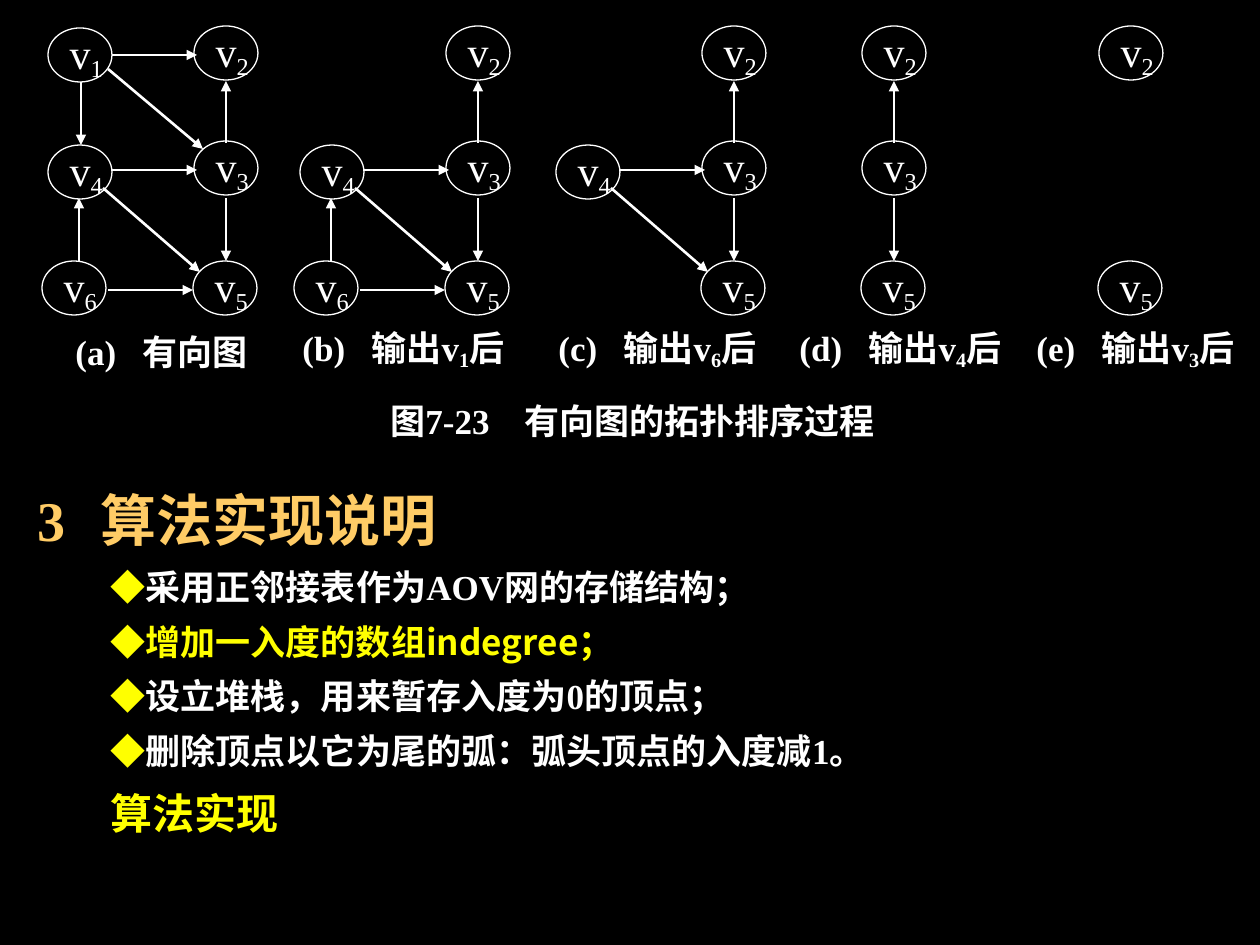
"""Builds the slide on topological sorting of a directed graph."""
from lxml import etree
from pptx import Presentation
from pptx.dml.color import RGBColor
from pptx.enum.shapes import MSO_CONNECTOR, MSO_SHAPE
from pptx.enum.text import MSO_ANCHOR, MSO_AUTO_SIZE, PP_ALIGN
from pptx.oxml.ns import qn
from pptx.util import Inches, Pt

PX_PER_INCH = 126
BLACK = RGBColor(0x00, 0x00, 0x00)
WHITE = RGBColor(0xFF, 0xFF, 0xFF)
YELLOW = RGBColor(0xFF, 0xFF, 0x00)
GOLD = RGBColor(0xFF, 0xCC, 0x66)
STRAIGHT, OVAL = MSO_CONNECTOR.STRAIGHT, MSO_SHAPE.OVAL
LEFT, MIDDLE, NO_AUTOFIT = PP_ALIGN.LEFT, MSO_ANCHOR.MIDDLE, MSO_AUTO_SIZE.NONE
SERIF, SANS = "Times New Roman", "Noto Sans CJK SC"

NODE_SIZE = (64, 54)
NODES = {1: (48, 28), 2: (194, 26), 3: (194, 141), 4: (48, 145), 5: (193, 261), 6: (42, 261)}
EDGES = {
    (1, 4): (81, 82, 81, 145),
    (3, 5): (226, 198, 226, 261),
    (6, 4): (79, 261, 79, 198),
    (3, 2): (226, 143, 226, 81),
    (6, 5): (108, 290, 193, 290),
    (1, 2): (112, 55, 197, 55),
    (1, 3): (108, 69, 203, 149),
    (4, 5): (103, 188, 200, 272),
    (4, 3): (112, 170, 197, 170),
}
STAGES = [
    (0, (1, 2, 3, 4, 5, 6), (63, 330, 194), 67, ("(a)\t有向图",)),
    (252, (2, 3, 4, 5, 6), (290, 327, 236), 69, ("(b)\t输出v", "1", "后")),
    (508, (2, 3, 4, 5), (546, 327, 236), 65, ("(c)\t输出v", "6", "后")),
    (668, (2, 3, 5), (787, 327, 236), 69, ("(d)\t输出v", "4", "后")),
    (905, (2, 5), (1024, 327, 236), 65, ("(e)\t输出v", "3", "后")),
]
FIGURE_TITLE = ((378, 398, 510), 134, ("图7-23\t有向图的拓扑排序过程",))
DIAMOND = ("◆", SANS, YELLOW)
BODY_LINES = [
    (0, 0, 0, 32, [("3\t算法实现说明", SERIF, GOLD)]),
    (1, 73, 5, 20, [DIAMOND, ("采用正邻接表作为AOV网的存储结构；", SERIF, WHITE)]),
    (1, 73, 5, 20, [("◆增加一入度的数组indegree；", SANS, YELLOW)]),
    (1, 73, 5, 20, [DIAMOND, ("设立堆栈，用来暂存入度为0的顶点；", SERIF, WHITE)]),
    (1, 73, 5, 20, [DIAMOND, ("删除顶点以它为尾的弧：弧头顶点的入度减1。", SERIF, WHITE)]),
    (0, 73, 6, 24, [("算法实现", SERIF, YELLOW)]),
]


def emu(pixels):
    """Turn pixels into EMU."""
    return Inches(pixels / PX_PER_INCH)


class SlidePainter:
    """Holds the style and the current slide."""

    def __init__(self, slide):
        """Take the slide and blacken its background."""
        self.slide = slide
        slide.background.fill.solid()
        slide.background.fill.fore_color.rgb = BLACK

    def add_run(self, paragraph, text, size, color=WHITE, name=SERIF, bold=False):
        """Append one formatted run."""
        run = paragraph.add_run()
        run.text = text
        font = run.font
        font.size, font.bold, font.name = Pt(size), bold, name
        font.color.rgb = color
        etree.SubElement(font._element, qn("a:ea"), typeface=SANS)
        return run

    def add_tab(self, paragraph, stop):
        """Add a left tab stop to a paragraph."""
        tabs = etree.SubElement(paragraph._p.get_or_add_pPr(), qn("a:tabLst"))
        etree.SubElement(tabs, qn("a:tab"), pos=str(emu(stop)), algn="l")

    def label(self, shape, segments, size, bold):
        """Write unwrapped text in which every second segment is a subscript."""
        frame = shape.text_frame
        frame.word_wrap = False
        frame.vertical_anchor = MIDDLE
        paragraph = frame.paragraphs[0]
        paragraph.alignment = LEFT
        for index, segment in enumerate(segments):
            run = self.add_run(paragraph, segment, size, bold=bold)
            if index % 2:
                run.font._element.set("baseline", "-18000")

    def node(self, number, offset):
        """Draw a graph vertex."""
        left, top = NODES[number]
        box = (left + offset, top, *NODE_SIZE)
        shape = self.slide.shapes.add_shape(OVAL, *map(emu, box))
        shape.shadow.inherit = False
        shape.fill.background()
        shape.line.color.rgb = WHITE
        shape.line.width = Pt(0.75)
        self.label(shape, ("v", str(number)), 24, False)

    def arrow(self, ends, offset):
        """Draw an arrow between two vertices."""
        x1, y1, x2, y2 = ends
        points = (x1 + offset, y1, x2 + offset, y2)
        connector = self.slide.shapes.add_connector(STRAIGHT, *map(emu, points))
        connector.line.color.rgb = WHITE
        connector.line.width = Pt(1.5)
        properties = connector.element.spPr
        etree.SubElement(properties.find(qn("a:ln")), qn("a:tailEnd"), type="triangle")
        etree.SubElement(properties, qn("a:effectLst"))

    def caption(self, position, stop, segments):
        """Write a bold caption with one tab stop."""
        box = self.slide.shapes.add_textbox(*map(emu, (*position, 44)))
        box.text_frame.margin_right = 0
        self.add_tab(box.text_frame.paragraphs[0], stop)
        self.label(box, segments, 20, True)

    def body(self, placeholder, box, lines):
        """Move the body placeholder and fill it with lines."""
        placeholder.left, placeholder.top, placeholder.width, placeholder.height = map(emu, box)
        frame = placeholder.text_frame
        frame.auto_size = NO_AUTOFIT
        for index, (level, indent, before, size, runs) in enumerate(lines):
            paragraph = frame.add_paragraph() if index else frame.paragraphs[0]
            properties = paragraph._p.get_or_add_pPr()
            properties.set("marL", str(emu(indent)))
            properties.set("indent", "0")
            etree.SubElement(properties, qn("a:buNone"))
            if "\t" in runs[0][0]:
                self.add_tab(paragraph, 75)
            paragraph.level = level
            paragraph.line_spacing = 1.1
            paragraph.space_before = Pt(before)
            for text, name, color in runs:
                self.add_run(paragraph, text, size, color, name, True)


def main():
    """Build and save the presentation."""
    presentation = Presentation()
    presentation.slide_width, presentation.slide_height = emu(1260), emu(945)
    slide = presentation.slides.add_slide(presentation.slide_layouts[1])
    title = slide.shapes.title.element
    title.getparent().remove(title)
    painter = SlidePainter(slide)
    painter.body(slide.placeholders[1], (25, 472, 1211, 427), BODY_LINES)
    for offset, numbers, position, stop, segments in STAGES:
        for number in numbers:
            painter.node(number, offset)
        for (start, end), ends in EDGES.items():
            if start in numbers and end in numbers:
                painter.arrow(ends, offset)
        painter.caption(position, stop, segments)
    painter.caption(*FIGURE_TITLE)
    presentation.save("out.pptx")


if __name__ == "__main__":
    main()
